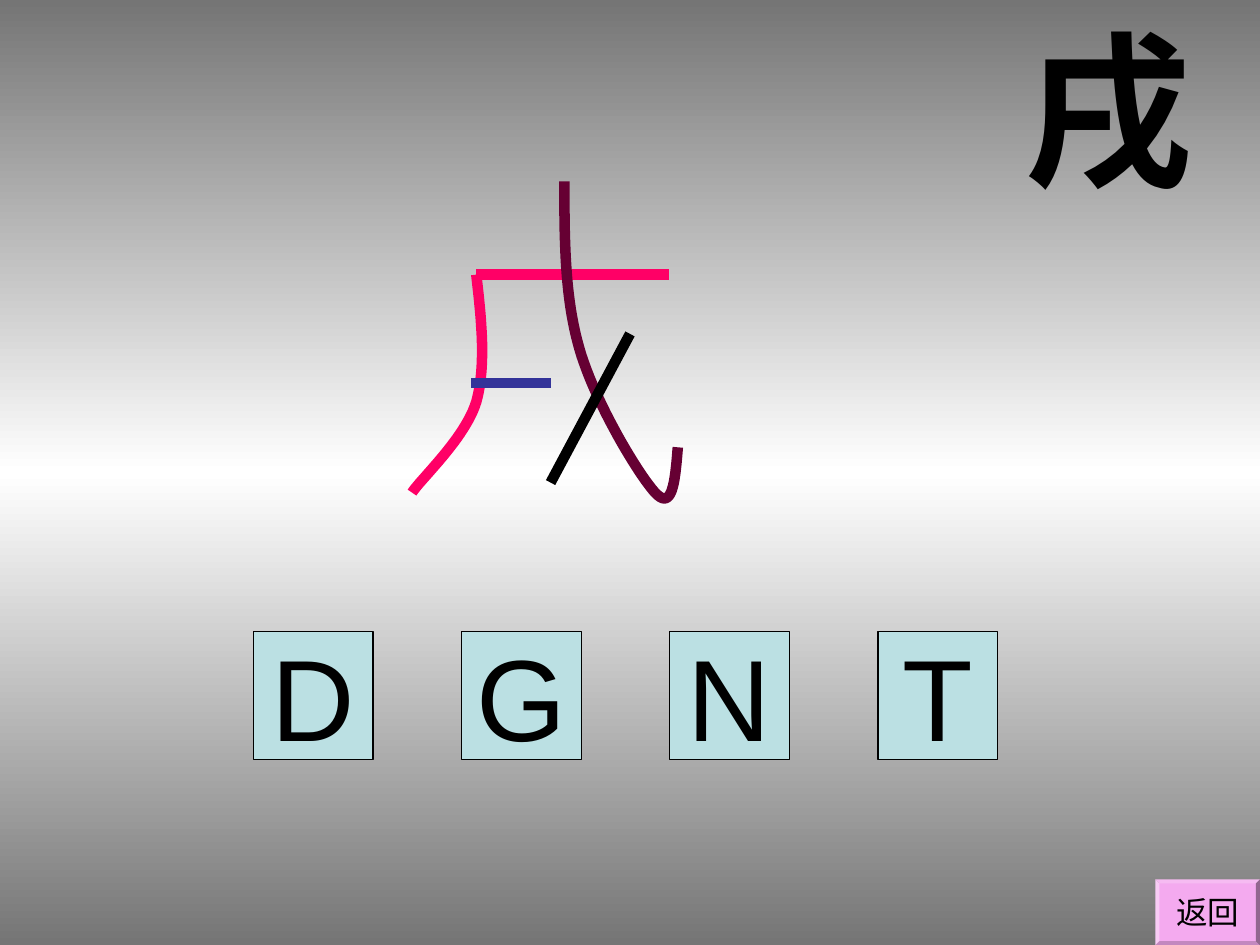
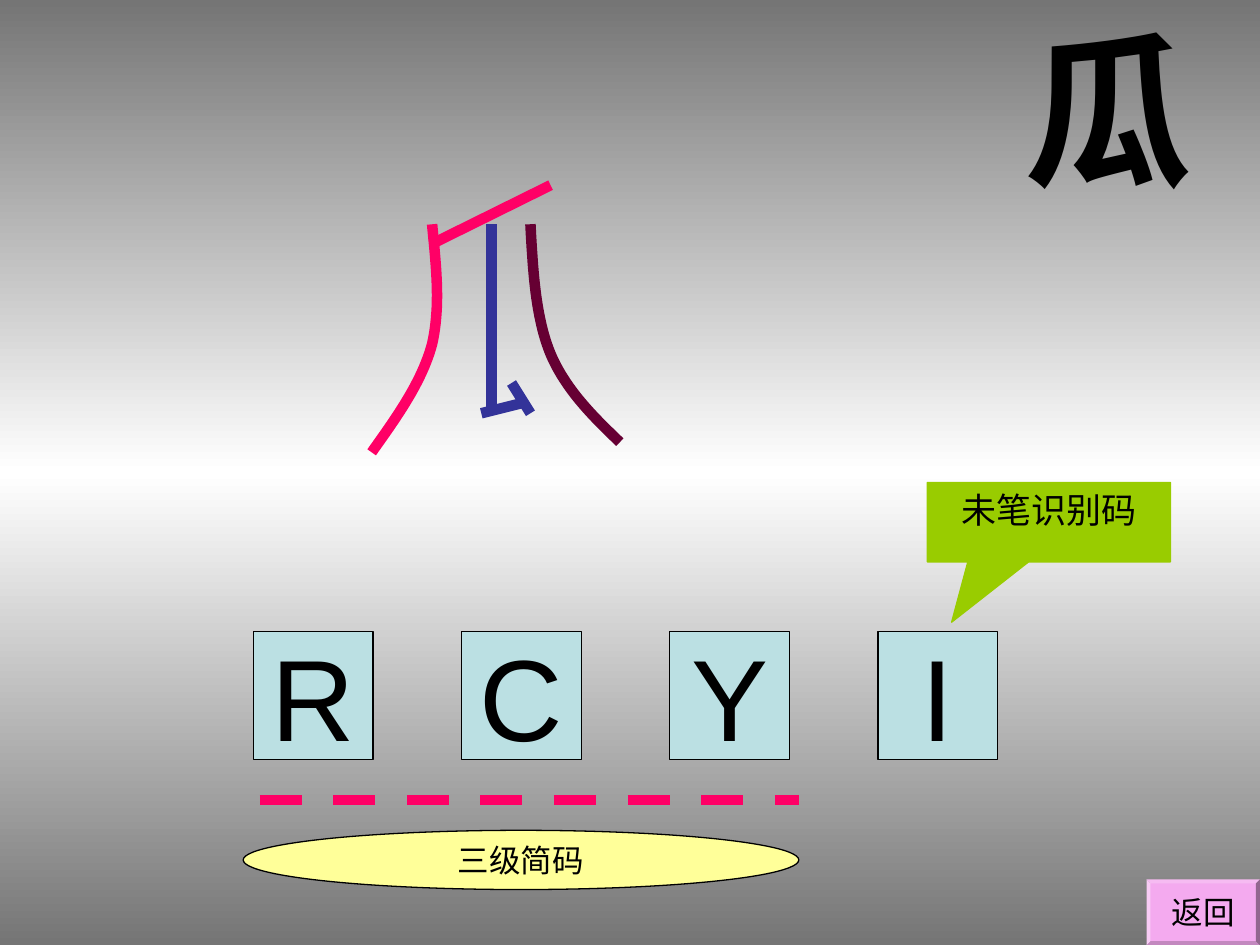
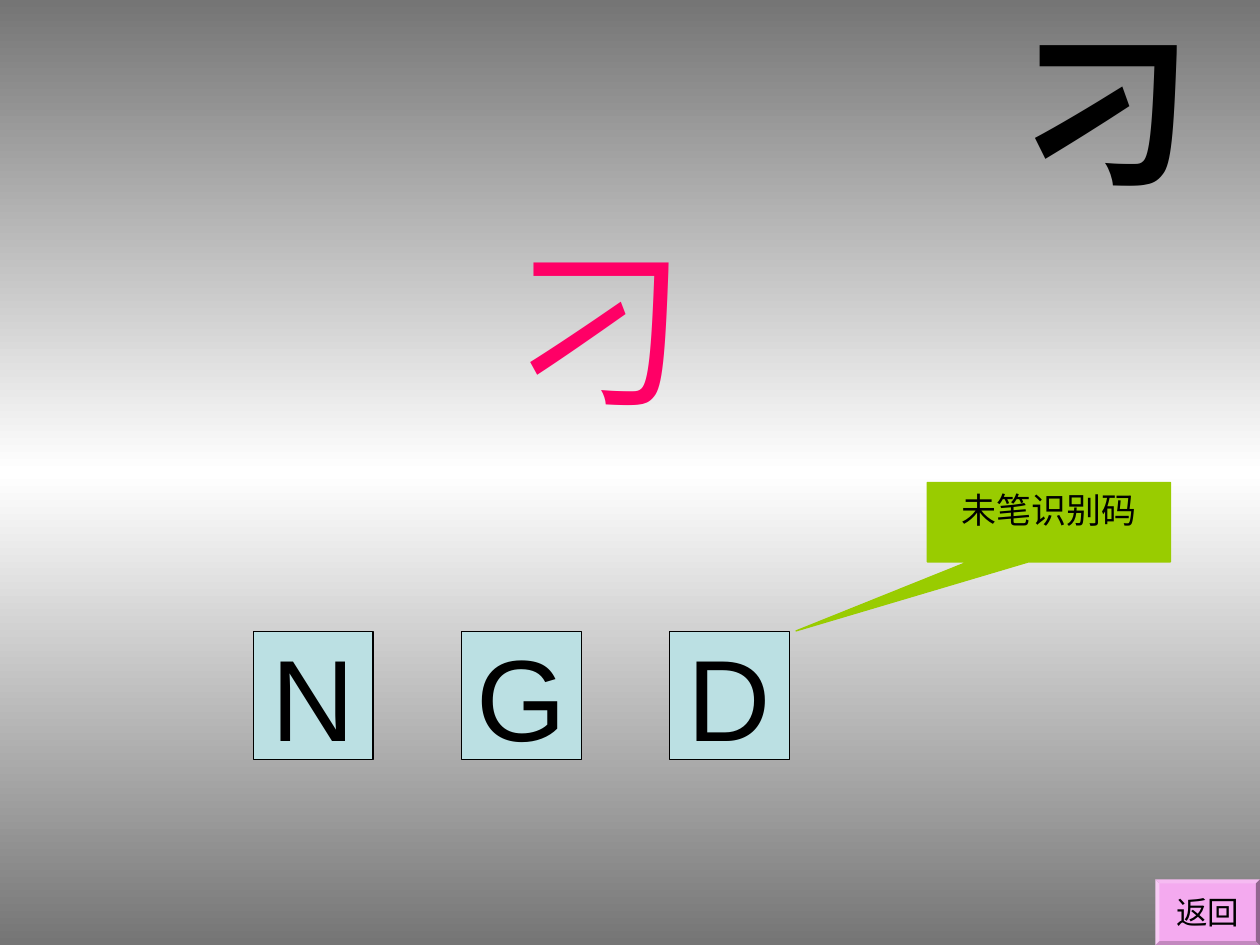
from copy import deepcopy
from dataclasses import dataclass

from lxml.etree import SubElement
from pptx import Presentation
from pptx.dml.color import RGBColor
from pptx.enum.dml import MSO_LINE_DASH_STYLE as Dash
from pptx.enum.shapes import MSO_CONNECTOR as Connector
from pptx.enum.shapes import MSO_SHAPE as Preset
from pptx.enum.text import MSO_ANCHOR as Anchor
from pptx.enum.text import MSO_AUTO_SIZE as AutoSize
from pptx.enum.text import PP_ALIGN as Align
from pptx.oxml.ns import qn
from pptx.util import Inches, Pt

BLACK, GREY, WHITE = "000000", "757575", "FFFFFF"
KEY_BLUE, BUTTON_PINK, HINT_GREEN, NOTE_YELLOW = "BBE0E3", "F4AAEF", "99CC00", "FFFF99"
ROSE, INDIGO, MAROON = "FF0066", "333399", "660033"

FONT_NAME = "Arial"
STROKE_WIDTH = 6
OUTLINE_WIDTH = 0.75
CURVE_STEPS = 24
KEY_LEFT, KEY_PITCH, KEY_TOP = 2.01, 1.653, 5.01
KEY_WIDTH, KEY_HEIGHT = 0.95, 1.02

Point = tuple[float, float]
Box = tuple[float, float, float, float]

CENTRED = {"vertical_anchor": Anchor.MIDDLE, "word_wrap": False}
TOP_WRAPPED = {"vertical_anchor": Anchor.TOP, "word_wrap": True}
HEADING = TOP_WRAPPED | {"auto_size": AutoSize.SHAPE_TO_FIT_TEXT}


@dataclass(frozen=True)
class Stroke:
    """One pen stroke: two points are straight, more are chained cubic curves."""

    color: str
    points: tuple[Point, ...]
    dash: Dash | None = None


@dataclass(frozen=True)
class Label:
    """Text with its size, colour and frame format."""

    text: str
    size: float
    frame: dict
    color: str = BLACK
    bold: bool = False
    alignment: Align = Align.CENTER


@dataclass(frozen=True)
class Panel:
    """A filled preset shape with a label."""

    preset: Preset
    box: Box
    fill: str
    label: Label
    outline: str | None = BLACK
    adjustments: tuple[float, ...] = ()


@dataclass(frozen=True)
class Lesson:
    """One character with its strokes and typing keys."""

    character: str
    keys: str
    strokes: tuple[Stroke, ...] = ()
    panels: tuple[Panel, ...] = ()
    button_left: float = 9.17
    whole_glyph: bool = False


def rgb(value: str) -> RGBColor:
    """Turn a hex string into a colour."""
    return RGBColor.from_string(value)


def apply_format(target: object, values: dict) -> None:
    """Set every named attribute on the target."""
    for name, value in values.items():
        setattr(target, name, value)


def write_label(shape, label: Label) -> None:
    """Write a label into a shape."""
    frame = shape.text_frame
    apply_format(frame, label.frame)
    paragraph = frame.paragraphs[0]
    paragraph.alignment = label.alignment
    run = paragraph.add_run()
    run.text = label.text
    apply_format(run.font, {"name": FONT_NAME, "size": Pt(label.size), "bold": label.bold})
    run.font.color.rgb = rgb(label.color)


def add_text(slide, box: Box, label: Label) -> None:
    """Add a text box."""
    write_label(slide.shapes.add_textbox(*map(Inches, box)), label)


def add_panel(slide, panel: Panel) -> None:
    """Add a labelled preset shape."""
    shape = slide.shapes.add_shape(panel.preset, *map(Inches, panel.box))
    shape.shadow.inherit = False
    for index, value in enumerate(panel.adjustments):
        shape.adjustments[index] = value
    shape.fill.solid()
    shape.fill.fore_color.rgb = rgb(panel.fill)
    if panel.outline:
        shape.line.color.rgb = rgb(panel.outline)
        shape.line.width = Pt(OUTLINE_WIDTH)
    else:
        shape.line.fill.background()
    write_label(shape, panel.label)


def curve_points(points: tuple[Point, ...]) -> list[Point]:
    """Sample a chain of cubic curves."""
    sampled = [points[0]]
    for start in range(0, len(points) - 1, 3):
        controls = points[start:start + 4]
        for step in range(1, CURVE_STEPS + 1):
            t = step / CURVE_STEPS
            weights = ((1 - t) ** 3, 3 * t * (1 - t) ** 2, 3 * t * t * (1 - t), t ** 3)
            x, y = (sum(w * c for w, c in zip(weights, axis)) for axis in zip(*controls))
            sampled.append((x, y))
    return sampled


def add_stroke(slide, stroke: Stroke) -> None:
    """Draw a straight or curved stroke."""
    if len(stroke.points) == 2:
        (x1, y1), (x2, y2) = stroke.points
        shape = slide.shapes.add_connector(Connector.STRAIGHT, *map(Inches, (x1, y1, x2, y2)))
    else:
        first, *rest = [(Inches(x), Inches(y)) for x, y in curve_points(stroke.points)]
        builder = slide.shapes.build_freeform(*first)
        builder.add_line_segments(rest, close=False)
        shape = builder.convert_to_shape()
        shape.fill.background()
    shape.line.color.rgb = rgb(stroke.color)
    apply_format(shape.line, {"width": Pt(STROKE_WIDTH), "dash_style": stroke.dash})
    SubElement(shape._element.spPr, qn("a:effectLst"))


def paint_background(layout) -> None:
    """Give the layout a grey, white, grey vertical gradient."""
    fill = layout.background.fill
    fill.gradient()
    fill.gradient_angle = 90
    stop_list = layout.element.find(".//" + qn("a:gsLst"))
    stop_list.append(deepcopy(stop_list[-1]))
    for stop, position, color in zip(fill.gradient_stops, (0, 0.5, 1), (GREY, WHITE, GREY)):
        stop.position = position
        stop.color.rgb = rgb(color)


def hint(tail_x: float, tail_y: float) -> Panel:
    """Describe the callout that points at the last key."""
    return Panel(Preset.RECTANGULAR_CALLOUT, (7.36, 3.83, 1.93, 0.63), HINT_GREEN,
                 Label("未笔识别码", 20, TOP_WRAPPED), HINT_GREEN, (tail_x, tail_y))


def add_lesson(presentation, layout, lesson: Lesson) -> None:
    """Build the slide of one character."""
    slide = presentation.slides.add_slide(layout)
    add_text(slide, (8.03, 0, 1.97, 1.7),
             Label(lesson.character, 96, HEADING, bold=True, alignment=Align.LEFT))
    for index, key in enumerate(lesson.keys):
        box = (KEY_LEFT + index * KEY_PITCH, KEY_TOP, KEY_WIDTH, KEY_HEIGHT)
        add_panel(slide, Panel(Preset.RECTANGLE, box, KEY_BLUE, Label(key, 66, CENTRED)))
    button_box = (lesson.button_left, 6.98, 10 - lesson.button_left, 0.52)
    add_panel(slide, Panel(Preset.BEVEL, button_box, BUTTON_PINK,
                           Label("返回", 18, CENTRED), None, (0.06,)))
    if lesson.whole_glyph:
        add_text(slide, (3.98, 1.94, 1.34, 1.26), Label(lesson.character, 100, CENTRED, ROSE))
    for panel in lesson.panels:
        add_panel(slide, panel)
    for stroke in lesson.strokes:
        add_stroke(slide, stroke)


LESSONS = (
    Lesson("戌", "DGNT", strokes=(
        Stroke(ROSE, ((3.78, 2.18), (3.82, 2.53), (3.86, 2.9), (3.78, 3.19),
                      (3.69, 3.48), (3.35, 3.79), (3.27, 3.91))),
        Stroke(ROSE, ((3.78, 2.18), (5.31, 2.18))),
        Stroke(INDIGO, ((3.74, 3.04), (4.37, 3.04))),
        Stroke(MAROON, ((4.48, 1.44), (4.48, 1.9), (4.48, 2.36), (4.6, 2.77),
                        (4.72, 3.19), (5.08, 3.79), (5.21, 3.92),
                        (5.34, 4.05), (5.36, 3.8), (5.38, 3.55))),
        Stroke(BLACK, ((5, 2.65), (4.37, 3.83))),
    )),
    Lesson("瓜", "RCYI", button_left=9.1, strokes=(
        Stroke(ROSE, ((2.06, 6.35), (6.34, 6.35)), Dash.DASH),
        Stroke(ROSE, ((4.37, 1.47), (3.42, 1.94))),
        Stroke(ROSE, ((3.43, 1.78), (3.46, 2.1), (3.5, 2.42), (3.43, 2.73),
                      (3.35, 3.03), (3.15, 3.31), (2.95, 3.59))),
        Stroke(INDIGO, ((3.9, 1.78), (3.9, 3.28))),
        Stroke(INDIGO, ((3.82, 3.28), (4.14, 3.2))),
        Stroke(INDIGO, ((4.06, 3.04), (4.21, 3.28))),
        Stroke(MAROON, ((4.21, 1.78), (4.23, 2.15), (4.25, 2.52), (4.37, 2.81),
                        (4.49, 3.09), (4.7, 3.3), (4.92, 3.51))),
    ), panels=(
        Panel(Preset.OVAL, (1.93, 6.59, 4.41, 0.47), NOTE_YELLOW, Label("三级简码", 18, CENTRED)),
        hint(-0.4, 1.26),
    )),
    Lesson("刁", "NGD", panels=(hint(-1.04, 1.37),), whole_glyph=True),
)


def main() -> None:
    """Build and save the presentation."""
    presentation = Presentation()
    apply_format(presentation, {"slide_width": Inches(10), "slide_height": Inches(7.5)})
    layout = presentation.slide_layouts[6]
    paint_background(layout)
    for lesson in LESSONS:
        add_lesson(presentation, layout, lesson)
    presentation.save("out.pptx")


if __name__ == "__main__":
    main()
